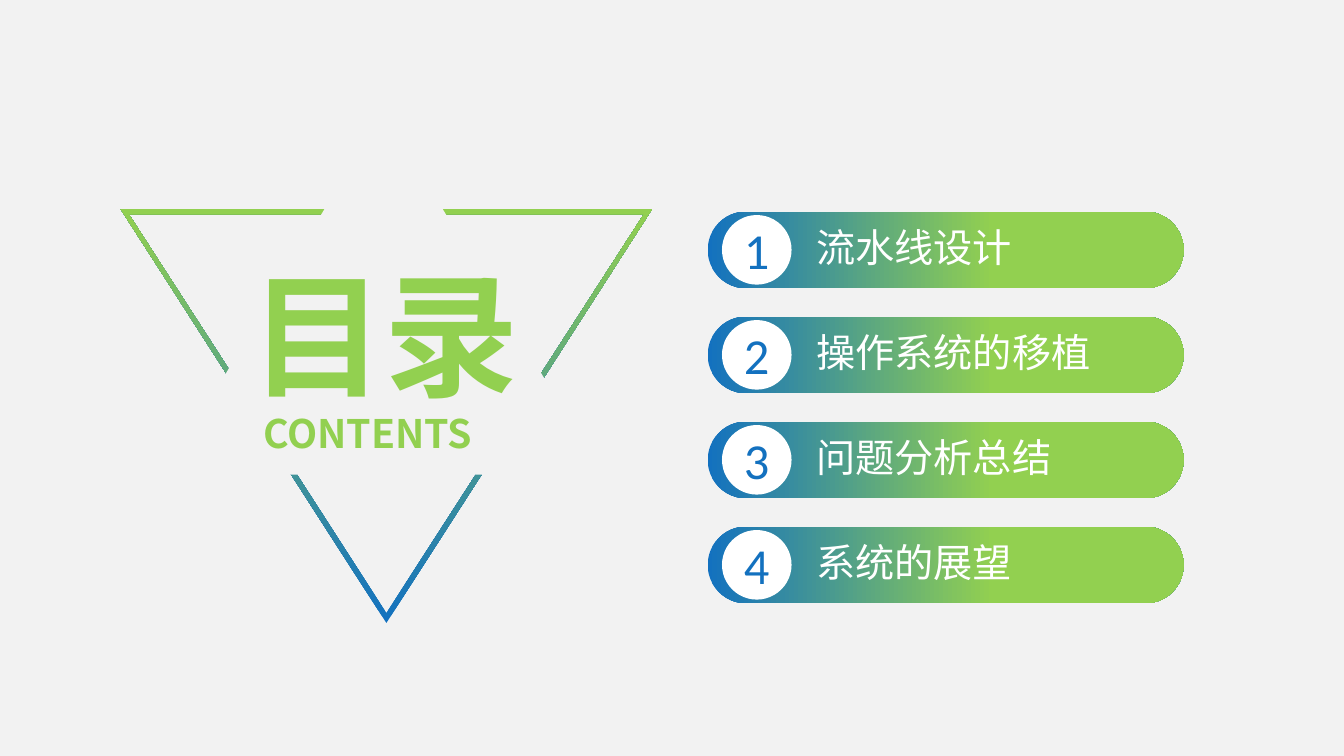
from pptx import Presentation
from pptx.dml.color import RGBColor
from pptx.enum.shapes import MSO_SHAPE
from pptx.enum.text import MSO_ANCHOR, PP_ALIGN
from pptx.oxml.ns import qn
from pptx.util import Pt
from lxml import etree

TRIANGLE, OVAL, PILL = MSO_SHAPE.ISOSCELES_TRIANGLE, MSO_SHAPE.OVAL, MSO_SHAPE.ROUNDED_RECTANGLE
TOP, MIDDLE = MSO_ANCHOR.TOP, MSO_ANCHOR.MIDDLE
CENTER, JUSTIFY = PP_ALIGN.CENTER, PP_ALIGN.JUSTIFY
BLUE, GREEN, WHITE, BACKGROUND = "1371BF", "92D050", "FFFFFF", "F2F2F2"
SANS = "Noto Sans CJK SC"
TITLE_ONLY = 5
ITEMS = ["流水线设计", "操作系统的移植", "问题分析总结", "系统的展望"]


def color(value):
    return RGBColor.from_string(value)


def paint(shape, fill):
    shape.shadow.inherit = False
    shape.line.fill.background()
    shape.fill.solid()
    shape.fill.fore_color.rgb = color(fill)


def paint_gradient(shape, angle, end):
    """Blend from blue to green, reaching green at the given fraction."""
    shape.shadow.inherit = False
    shape.line.fill.background()
    shape.fill.gradient()
    shape.fill.gradient_angle = angle
    for stop, value, position in zip(shape.fill.gradient_stops, (BLUE, GREEN), (0, end)):
        stop.color.rgb = color(value)
        stop.position = position


def add_preset(slide, kind, left, top, width, height):
    return slide.shapes.add_shape(kind, Pt(left), Pt(top), Pt(width), Pt(height))


def write(shape, text, size, font, value, bold=False, align=JUSTIFY, anchor=TOP, margins=(7.2, 3.6)):
    frame = shape.text_frame
    frame.word_wrap = True
    frame.vertical_anchor = anchor
    frame.margin_left = frame.margin_right = Pt(margins[0])
    frame.margin_top = frame.margin_bottom = Pt(margins[1])
    paragraph = frame.paragraphs[0]
    paragraph.alignment = align
    run = paragraph.add_run()
    run.text = text
    run.font.size, run.font.name, run.font.bold = Pt(size), font, bold
    run.font.color.rgb = color(value)
    east_asian = etree.SubElement(run.font._element, qn("a:ea"))
    east_asian.set("typeface", SANS)


def add_label(slide, left, top, width, height, *text_settings, **options):
    label = slide.shapes.add_textbox(Pt(left), Pt(top), Pt(width), Pt(height))
    write(label, *text_settings, **options)


def add_heading(slide, left, top, width, height):
    # Hollow triangle pointing down
    middle = left + width / 2
    outer = [(left, top), (left + width, top), (middle, top + height)]
    inner = [(left + 6.5, top + 3.8), (middle, top + height - 6.5), (left + width - 6.5, top + 3.8)]
    builder = slide.shapes.build_freeform(*outer[0], scale=Pt(1))
    builder.add_line_segments(outer[1:], close=True)
    builder.move_to(*inner[0])
    builder.add_line_segments(inner[1:], close=True)
    paint_gradient(builder.convert_to_shape(), 90, 1)

    # Background triangle that opens gaps in the outline
    paint(add_preset(slide, TRIANGLE, left + 32, top - 70, 312, 260), BACKGROUND)

    # Title, brought in front of the triangles
    title = slide.shapes.title
    slide.shapes._spTree.append(title._element)
    title.left, title.top, title.width, title.height = Pt(left + 85.5), Pt(top + 27.5), Pt(212), Pt(126)
    write(title, "目录", 96, "Arial Narrow", GREEN, bold=True)
    add_label(slide, left + 95, top + 139.5, 200, 41, "CONTENTS", 28, SANS, GREEN, bold=True)


def add_item(slide, number, text, left, top, width, height):
    pill = add_preset(slide, PILL, left, top, width, height)
    pill.adjustments[0] = 0.5
    paint_gradient(pill, 0, 0.6)
    diameter = height - 5
    badge = add_preset(slide, OVAL, left + 10.2, top + 2.4, diameter, diameter)
    paint(badge, WHITE)
    write(badge, str(number), 36, "Calibri", BLUE, align=CENTER, anchor=MIDDLE, margins=(0, 0))
    add_label(slide, left + 70.5, top + 4.8, 214, 41, text, 28, SANS, WHITE)


def add_agenda(slide, left, top, width, height):
    row_height = 54.7
    pitch = (height - row_height) / (len(ITEMS) - 1)
    for index, text in enumerate(ITEMS):
        add_item(slide, index + 1, text, left, top + index * pitch, width, row_height)


presentation = Presentation()
presentation.slide_width, presentation.slide_height = Pt(960), Pt(540)
slide = presentation.slides.add_slide(presentation.slide_layouts[TITLE_ONLY])
slide.background.fill.solid()
slide.background.fill.fore_color.rgb = color(BACKGROUND)
add_heading(slide, 86, 149, 380.5, 296)
add_agenda(slide, 505.5, 151.2, 340, 279.7)
presentation.save("out.pptx")
